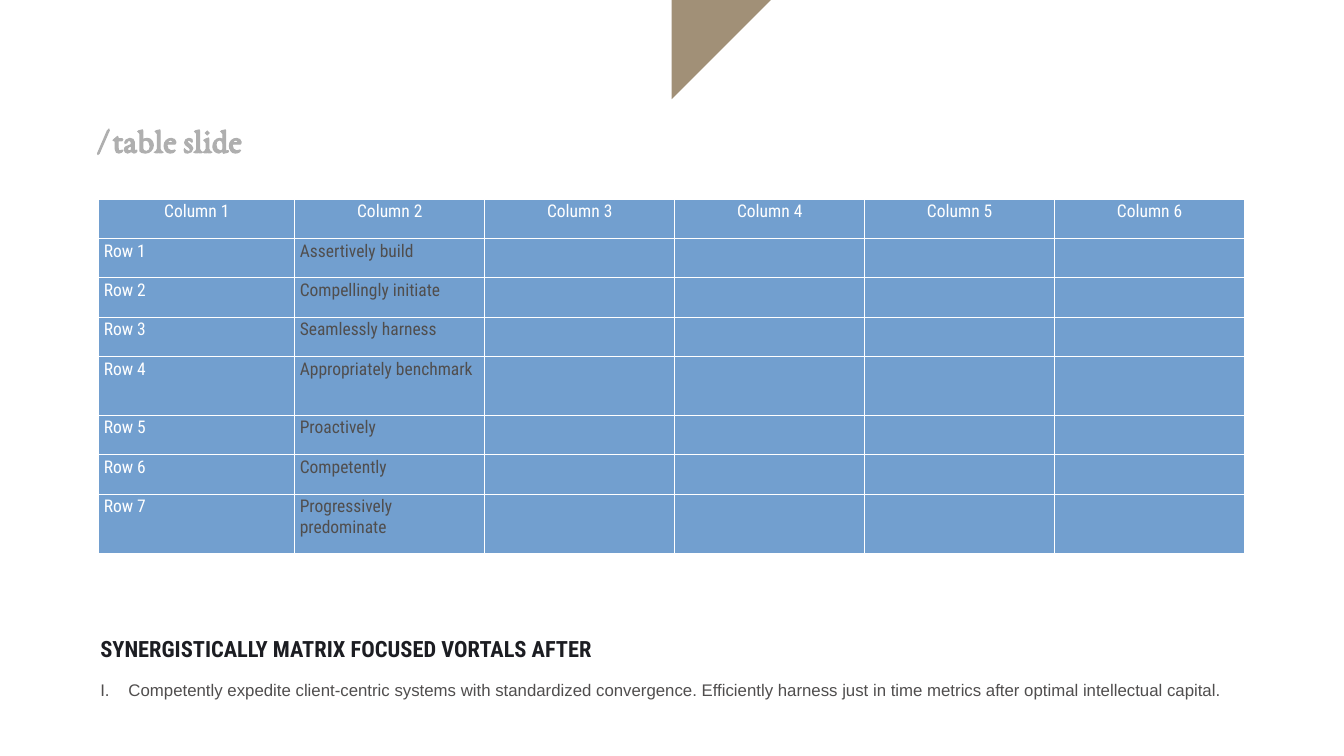
import dataclasses

import pptx
import pptx.dml.color
import pptx.enum.text
import pptx.oxml
import pptx.oxml.ns
import pptx.util

PX = 9144  # EMU
ALIGN = pptx.enum.text.PP_ALIGN


@dataclasses.dataclass(frozen=True)
class Theme:
    """Colours, fonts and type sizes of the slide."""
    white: str = "FFFFFF"
    accent: str = "A19077"
    cell: str = "729FCF"
    body: str = "504E4E"
    heading: str = "1C1D22"
    title: str = "AFAFAF"
    title_font: str = "EB Garamond"
    label_font: str = "Roboto Condensed"
    body_font: str = "Arial"
    title_size: int = 48
    heading_size: int = 32
    cell_size: int = 25
    body_size: int = 24
    border: float = 0.96


THEME = Theme()
HEADERS = [f"Column {n}" for n in range(1, 7)]
ENTRIES = [
    "Assertively build",
    "Compellingly initiate",
    "Seamlessly harness",
    "Appropriately benchmark",
    "Proactively",
    "Competently",
    "Progressively predominate",
]
COLUMN_WIDTHS = [389] + [377] * 5
ROW_HEIGHTS = [117 if n in (4, 7) else 78 for n in range(8)]


def px(n):
    """Turn px into EMU."""
    return pptx.util.Emu(n * PX)


def rgb(value):
    """Return a colour object for a hex string."""
    return pptx.dml.color.RGBColor.from_string(value)


def add_run(p, text, font, size, color, bold=False):
    """Add one styled run to a paragraph."""
    r = p.add_run()
    r.text = text
    r.font.name = font
    r.font.size = pptx.util.Pt(size)
    r.font.bold = bold
    r.font.color.rgb = rgb(color)


def add_text(s, box, text, font, size, color, bold=False, spacing=1.0):
    """Add a text box without insets and return its paragraph."""
    tf = s.shapes.add_textbox(*map(px, box)).text_frame
    tf.word_wrap = True
    tf.margin_left = tf.margin_top = tf.margin_right = tf.margin_bottom = 0
    p = tf.paragraphs[0]
    p.line_spacing = spacing
    add_run(p, text, font, size, color, bold)
    return p


def number_roman(p, indent):
    """Give a paragraph an upper-case roman number with a hanging indent."""
    ppr = p._p.get_or_add_pPr()
    ppr.set("marL", str(px(indent)))
    ppr.set("indent", str(px(-indent)))
    ns = pptx.oxml.ns.nsdecls("a")
    ppr.append(pptx.oxml.parse_xml(
        f'<a:buClr {ns}><a:srgbClr val="{THEME.body}"/></a:buClr>'))
    ppr.append(pptx.oxml.parse_xml(
        f'<a:buFont {ns} typeface="{THEME.body_font}"/>'))
    ppr.append(pptx.oxml.parse_xml(
        f'<a:buAutoNum {ns} type="romanUcPeriod"/>'))


def add_corner(s, left, top, side):
    """Add the right triangle that hangs from the top edge."""
    builder = s.shapes.build_freeform(px(left + side), px(top))
    builder.add_line_segments([
        (px(left + side), px(top + side)),
        (px(left), px(top + side)),
    ], close=True)
    sp = builder.convert_to_shape()
    sp.rotation = 315
    sp.shadow.inherit = False
    sp.fill.solid()
    sp.fill.fore_color.rgb = rgb(THEME.accent)
    sp.line.fill.background()


def style_cell(cell):
    """Give a cell its borders and fill."""
    tcpr = cell._tc.get_or_add_tcPr()
    ns = pptx.oxml.ns.nsdecls("a")
    width = pptx.util.Pt(THEME.border)
    for side in "LRTB":
        tcpr.append(pptx.oxml.parse_xml(
            f'<a:ln{side} {ns} w="{width}"><a:solidFill>'
            f'<a:srgbClr val="{THEME.white}"/></a:solidFill></a:ln{side}>'))
    cell.fill.solid()
    cell.fill.fore_color.rgb = rgb(THEME.cell)


def fill_cell(cell, text, color, align=ALIGN.LEFT):
    """Write a text into a table cell."""
    p = cell.text_frame.paragraphs[0]
    p.alignment = align
    add_run(p, text, THEME.label_font, THEME.cell_size, color)


def add_grid(s, left, top):
    """Add the table with its header row and labelled rows."""
    table = s.shapes.add_table(
        len(ROW_HEIGHTS), len(COLUMN_WIDTHS), px(left), px(top),
        px(sum(COLUMN_WIDTHS)), px(sum(ROW_HEIGHTS))).table
    table.first_row = table.horz_banding = False
    for column, width in zip(table.columns, COLUMN_WIDTHS):
        column.width = px(width)
    for row, height in zip(table.rows, ROW_HEIGHTS):
        row.height = px(height)
    for cell in table.iter_cells():
        style_cell(cell)
    for n, header in enumerate(HEADERS):
        fill_cell(table.cell(0, n), header, THEME.white, ALIGN.CENTER)
    for n, entry in enumerate(ENTRIES, 1):
        fill_cell(table.cell(n, 0), f"Row {n}", THEME.white)
        fill_cell(table.cell(n, 1), entry, THEME.body)


def main():
    """Build the slide and save it."""
    prs = pptx.Presentation()
    prs.slide_width, prs.slide_height = px(2667), px(1500)
    s = prs.slides.add_slide(prs.slide_layouts[6])
    add_corner(s, 1194, -139, 278)
    add_grid(s, 196, 395)
    add_text(s, (194, 252, 2277, 88), "/ table slide", THEME.title_font,
             THEME.title_size, THEME.title, bold=True, spacing=0.8)
    add_text(s, (199, 1261, 2270, 53),
             "SYNERGISTICALLY MATRIX FOCUSED VORTALS AFTER",
             THEME.label_font, THEME.heading_size, THEME.heading, bold=True)
    p = add_text(s, (199, 1329, 2270, 133),
                 "Competently expedite client-centric systems with "
                 "standardized convergence. Efficiently harness just in time "
                 "metrics after optimal intellectual capital.",
                 THEME.body_font, THEME.body_size, THEME.body, spacing=1.5)
    number_roman(p, 56)
    prs.save("out.pptx")


if __name__ == "__main__":
    main()
